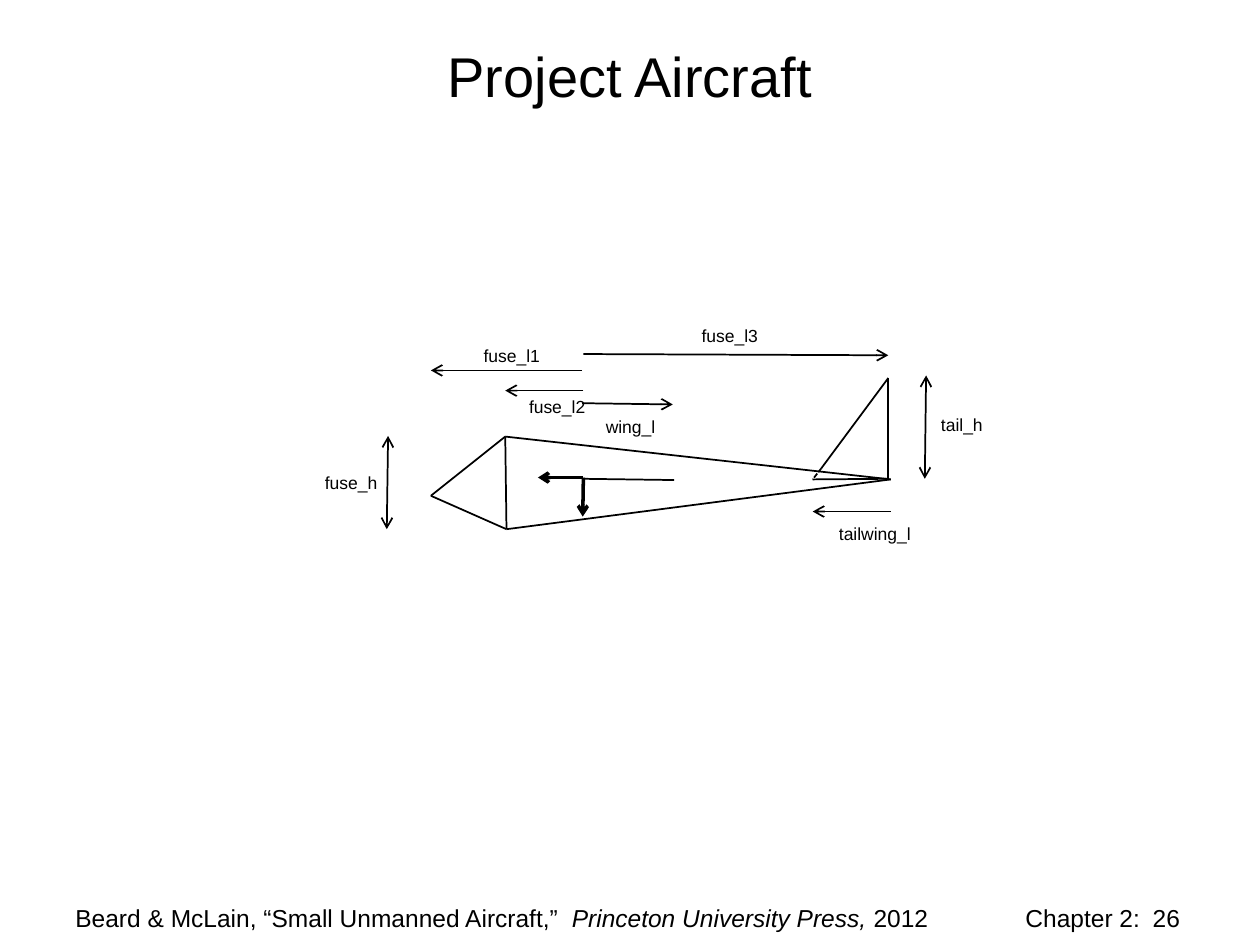
import pptx
import pptx.dml.color
import pptx.enum.dml
import pptx.enum.shapes
import pptx.enum.text
import pptx.oxml
import pptx.oxml.ns
import pptx.util

BLACK = pptx.dml.color.RGBColor(0, 0, 0)
WHITE = pptx.dml.color.RGBColor(255, 255, 255)
FONT = "Arial"
COLUMNS, ROWS = 100, 75

NOSE = (34.2, 39.35)
FUSE_TOP = (40.1, 34.65)
FUSE_BOTTOM = (40.2, 42)
FUSE_END = (70.7, 38.05)
WING_FRONT, WING_BACK = (46.3, 38), (53.5, 38.1)
TAIL_FRONT, TAIL_BACK = (64.5, 38.05), (70.5, 38)
TAIL_TOP = (70.5, 30)
TAIL_CROSSING = (65.2, 37.15)
CENTER = (46.3, 37.9)

OUTLINE = [
    (NOSE, FUSE_BOTTOM), (FUSE_TOP, FUSE_BOTTOM), (NOSE, FUSE_TOP),
    (FUSE_END, FUSE_TOP), (WING_FRONT, WING_BACK), (TAIL_FRONT, TAIL_BACK),
    (TAIL_TOP, TAIL_BACK), (TAIL_TOP, TAIL_CROSSING), (FUSE_END, FUSE_BOTTOM),
]
BODY_AXES = [(42.7, 37.9), (46.25, 41)]
LENGTHS = [
    ((46.2, 32), (53.4, 32.1)), ((46.3, 31), (40.1, 31)),
    ((46.2, 29.4), (34.2, 29.4)), ((46.3, 28.1), (70.5, 28.2)),
    ((70.7, 40.6), (64.5, 40.6)),
]
HEIGHTS = [((30.7, 42), (30.8, 34.6)), ((73.4, 38), (73.5, 29.8))]
LABELS = [
    ("wing_l", 47.1, 32.5, 6), ("fuse_l3", 54.7, 25.3, 6.5),
    ("fuse_l2", 41, 30.9, 6.5), ("fuse_l1", 37.4, 26.9, 6.5),
    ("tailwing_l", 65.6, 41, 7.8), ("tail_h", 73.7, 32.4, 5.4),
    ("fuse_h", 24.8, 37, 6.2),
]
LABEL_HEIGHT = 2.7
FOOTER = [
    ("Beard & McLain, “Small Unmanned Aircraft,”\t", False),
    ("Princeton University Press,", True),
    (" 2012\tChapter 2:\t26", False),
]
FOOTER_TABS = [3.94, 7.54, 8.55]


class Sketch:
    def __init__(self, deck):
        self.deck = deck
        self.page = deck.slides.add_slide(deck.slide_layouts[6])
        self.page.background.fill.solid()
        self.page.background.fill.fore_color.rgb = WHITE

    def x(self, columns):
        return round(self.deck.slide_width * columns / COLUMNS)

    def y(self, rows):
        return round(self.deck.slide_height * rows / ROWS)

    def line(self, start, end, width=1, arrows=(), dashed=False):
        line = self.page.shapes.add_connector(
            pptx.enum.shapes.MSO_CONNECTOR.STRAIGHT,
            self.x(start[0]), self.y(start[1]), self.x(end[0]), self.y(end[1]))
        line.line.color.rgb = BLACK
        line.line.width = pptx.util.Pt(width)
        if dashed:
            line.line.dash_style = pptx.enum.dml.MSO_LINE.SQUARE_DOT
        properties = line._element.spPr
        stroke = properties.find(pptx.oxml.ns.qn("a:ln"))
        for end_name in arrows:
            arrow = pptx.oxml.parse_xml(
                f'<a:{end_name} {pptx.oxml.ns.nsdecls("a")} type="arrow"/>')
            stroke.append(arrow)
        properties.append(pptx.oxml.parse_xml(
            f'<a:effectLst {pptx.oxml.ns.nsdecls("a")}/>'))

    def box(self, left, top, width, height, wrap=True):
        box = self.page.shapes.add_textbox(
            self.x(left), self.y(top), self.x(width), self.y(height))
        box.text_frame.word_wrap = wrap
        return box.text_frame

    def style(self, span, size, italic=False):
        span.font.name = FONT
        span.font.size = pptx.util.Pt(size)
        span.font.color.rgb = BLACK
        span.font.italic = italic

    def title(self, text):
        frame = self.box(5, 2, 90, 7.9)
        frame.vertical_anchor = pptx.enum.text.MSO_ANCHOR.MIDDLE
        frame.text = text
        para = frame.paragraphs[0]
        para.alignment = pptx.enum.text.PP_ALIGN.CENTER
        self.style(para.runs[0], 32)

    def label(self, text, left, top, width):
        frame = self.box(left, top, width, LABEL_HEIGHT, wrap=False)
        frame.auto_size = pptx.enum.text.MSO_AUTO_SIZE.SHAPE_TO_FIT_TEXT
        frame.text = text
        self.style(frame.paragraphs[0].runs[0], 10)

    def footer(self, parts, tabs):
        para = self.box(5, 71.2, 90, 3.9).paragraphs[0]
        stops = "".join(
            f'<a:tab pos="{pptx.util.Inches(tab)}" algn="l"/>' for tab in tabs)
        para._p.get_or_add_pPr().append(pptx.oxml.parse_xml(
            f'<a:tabLst {pptx.oxml.ns.nsdecls("a")}>{stops}</a:tabLst>'))
        for text, italic in parts:
            span = para.add_run()
            span.text = text
            self.style(span, 14, italic)


def main():
    deck = pptx.Presentation()
    deck.slide_width = pptx.util.Inches(10)
    deck.slide_height = pptx.util.Inches(7.5)
    sketch = Sketch(deck)
    sketch.footer(FOOTER, FOOTER_TABS)
    for start, end in OUTLINE:
        sketch.line(start, end)
    sketch.line(TAIL_CROSSING, TAIL_FRONT, dashed=True)
    for tip in BODY_AXES:
        sketch.line(tip, CENTER, width=2, arrows=["headEnd"])
    for start, end in LENGTHS:
        sketch.line(start, end, arrows=["tailEnd"])
    for start, end in HEIGHTS:
        sketch.line(start, end, arrows=["headEnd", "tailEnd"])
    for label in LABELS:
        sketch.label(*label)
    sketch.title("Project Aircraft")
    deck.save("out.pptx")


if __name__ == "__main__":
    main()
